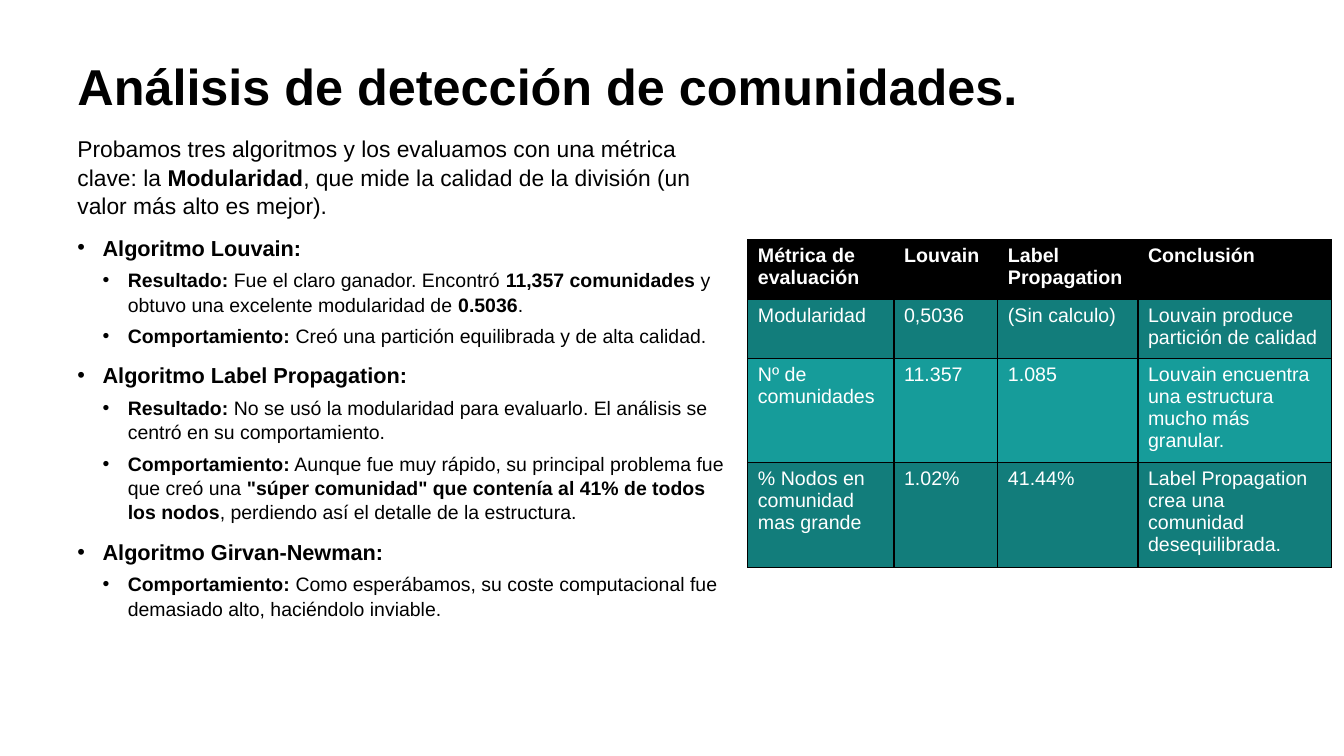
from lxml.etree import SubElement
from pptx import Presentation
from pptx.dml.color import RGBColor
from pptx.enum.text import MSO_ANCHOR
from pptx.oxml.ns import qn
from pptx.util import Pt

COLORS = {"black": "000000", "white": "FFFFFF", "dark_teal": "127D7B", "teal": "169C9A"}
FONT = "Arial"

TITLE = "Análisis de detección de comunidades."
INTRO = ("Probamos tres algoritmos y los evaluamos con una métrica clave: la **Modularidad**, "
         "que mide la calidad de la división (un valor más alto es mejor).")
ALGORITHMS = {
    "Algoritmo Louvain:": [
        "**Resultado:** Fue el claro ganador. Encontró **11,357 comunidades** y obtuvo "
        "una excelente modularidad de **0.5036**.",
        "**Comportamiento:** Creó una partición equilibrada y de alta calidad.",
    ],
    "Algoritmo Label Propagation:": [
        "**Resultado:** No se usó la modularidad para evaluarlo. El análisis se centró "
        "en su comportamiento.",
        "**Comportamiento:** Aunque fue muy rápido, su principal problema fue que creó una "
        "**\"súper comunidad\" que contenía al 41% de todos los nodos**, perdiendo así "
        "el detalle de la estructura.",
    ],
    "Algoritmo Girvan-Newman:": [
        "**Comportamiento:** Como esperábamos, su coste computacional fue demasiado alto, "
        "haciéndolo inviable.",
    ],
}
METRICS = [
    ["Métrica de evaluación", "Louvain", "Label Propagation", "Conclusión"],
    ["Modularidad", "0,5036", "(Sin calculo)", "Louvain produce partición de calidad"],
    ["Nº de comunidades", "11.357", "1.085",
     "Louvain encuentra una estructura mucho más granular."],
    ["% Nodos en comunidad mas grande", "1.02%", "41.44%",
     "Label Propagation crea una comunidad desequilibrada."],
]
COLUMN_WIDTHS = [104.4, 74.2, 100.1, 138.2]
ROW_HEIGHT = 42.4
ROW_FILLS = ["black", "dark_teal", "teal", "dark_teal"]


def write(paragraph, text, size, color="black", bold=False, before=0, spacing=None, level=None):
    """Fill a paragraph; **marks** switch bold, a level adds a bullet."""
    paragraph.space_before = Pt(before)
    if spacing:
        paragraph.line_spacing = spacing
    for index, part in enumerate(text.split("**")):
        if not part:
            continue
        run = paragraph.add_run()
        run.text = part
        run.font.name = FONT
        run.font.size = Pt(size)
        run.font.bold = bold or index % 2 == 1
        run.font.color.rgb = RGBColor.from_string(COLORS[color])
    if level is not None:
        paragraph.level = level
        properties = paragraph._p.get_or_add_pPr()
        properties.set("marL", str(Pt(18 * (level + 1))))
        properties.set("indent", str(Pt(-18)))
        SubElement(properties, qn("a:buFont")).set("typeface", FONT)
        SubElement(properties, qn("a:buChar")).set("char", "•")


def add_text_frame(slide, left, top, width, height, anchor=MSO_ANCHOR.TOP):
    box = slide.shapes.add_textbox(Pt(left), Pt(top), Pt(width), Pt(height))
    frame = box.text_frame
    frame.word_wrap = True
    frame.vertical_anchor = anchor
    return frame


def add_title(slide, left, top, width, height):
    frame = add_text_frame(slide, left, top, width, height, MSO_ANCHOR.MIDDLE)
    write(frame.paragraphs[0], TITLE, 36, bold=True, spacing=0.9)


def add_analysis(slide, left, top, width, height):
    frame = add_text_frame(slide, left, top, width, height)
    spacing = 1.04
    write(frame.paragraphs[0], INTRO, 16.3, before=10, spacing=spacing)
    for algorithm, findings in ALGORITHMS.items():
        write(frame.add_paragraph(), algorithm, 15.5, bold=True, before=10,
              spacing=spacing, level=0)
        for finding in findings:
            write(frame.add_paragraph(), finding, 13.9, before=5, spacing=spacing, level=1)


def set_borders(cell, color, width):
    properties = cell._tc.get_or_add_tcPr()
    for index, side in enumerate(("lnL", "lnR", "lnT", "lnB")):
        line = properties.makeelement(qn(f"a:{side}"), {"w": str(Pt(width))})
        fill = SubElement(line, qn("a:solidFill"))
        SubElement(fill, qn("a:srgbClr")).set("val", COLORS[color])
        properties.insert(index, line)  # borders come before the fill


def add_metrics_table(slide, left, top):
    table = slide.shapes.add_table(
        len(METRICS), len(COLUMN_WIDTHS), Pt(left), Pt(top),
        Pt(sum(COLUMN_WIDTHS)), Pt(ROW_HEIGHT * len(METRICS))).table
    for column, width in zip(table.columns, COLUMN_WIDTHS):
        column.width = Pt(width)
    for row_index, (values, fill) in enumerate(zip(METRICS, ROW_FILLS)):
        table.rows[row_index].height = Pt(ROW_HEIGHT)
        for column_index, value in enumerate(values):
            cell = table.cell(row_index, column_index)
            cell.fill.solid()
            cell.fill.fore_color.rgb = RGBColor.from_string(COLORS[fill])
            set_borders(cell, "black", 1)
            write(cell.text_frame.paragraphs[0], value, 14, "white", bold=row_index == 0)


def main():
    presentation = Presentation()
    presentation.slide_width, presentation.slide_height = Pt(960), Pt(540)
    slide = presentation.slides.add_slide(presentation.slide_layouts[6])
    add_title(slide, 48.2, 38.9, 838.8, 49)
    add_analysis(slide, 48.2, 92.2, 486, 406.8)
    add_metrics_table(slide, 534.2, 171.4)
    presentation.save("out.pptx")


if __name__ == "__main__":
    main()
